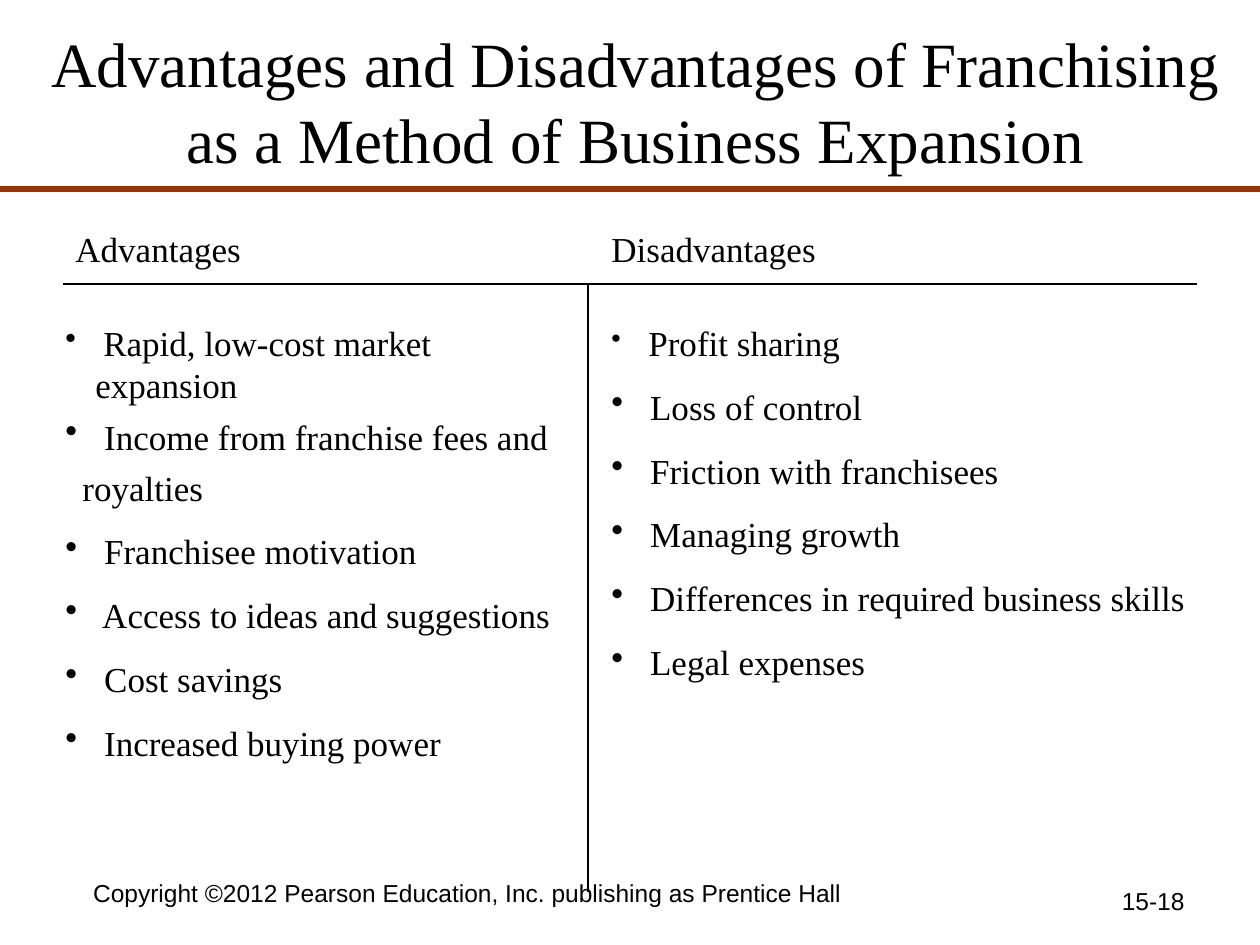
from dataclasses import dataclass

from lxml.etree import SubElement
from pptx import Presentation
from pptx.dml.color import RGBColor
from pptx.enum.shapes import MSO_CONNECTOR
from pptx.enum.text import MSO_ANCHOR, PP_ALIGN
from pptx.oxml.ns import qn
from pptx.util import Pt

EMU_PER_PIXEL = 914400 / 126


def px(length):
    return round(length * EMU_PER_PIXEL)


@dataclass(frozen=True)
class Theme:
    ink: RGBColor = RGBColor(0x00, 0x00, 0x00)
    accent: RGBColor = RGBColor(0x99, 0x33, 0x00)
    serif: str = "Times New Roman"
    sans: str = "Arial"
    title_size: int = 36
    body_size: int = 20
    footer_size: int = 14
    paragraph_gap: float = 12.5
    bullet_indent: int = 30


@dataclass(frozen=True)
class Item:
    text: str
    lead_size: int = 20
    spacing: float = 1.0
    bullet: bool = True
    indent: int = 30


class SlideBuilder:
    def __init__(self, slide, theme):
        self.slide = slide
        self.theme = theme

    def frame(self, left, top, width, height, anchor=MSO_ANCHOR.TOP):
        box = self.slide.shapes.add_textbox(px(left), px(top), px(width), px(height))
        box.text_frame.word_wrap = True
        box.text_frame.vertical_anchor = anchor
        return box.text_frame

    def span(self, para, text, size, font):
        span = para.add_run()
        span.text = text
        span.font.size = Pt(size)
        span.font.name = font
        span.font.color.rgb = self.theme.ink

    def label(self, text, bounds, size, font, align=PP_ALIGN.LEFT, anchor=MSO_ANCHOR.TOP):
        para = self.frame(*bounds, anchor=anchor).paragraphs[0]
        para.alignment = align
        self.span(para, text, size, font)

    def rule(self, start, end, color, weight):
        line = self.slide.shapes.add_connector(
            MSO_CONNECTOR.STRAIGHT, *(px(value) for value in (*start, *end))
        )
        line.line.color.rgb = color
        line.line.width = Pt(weight)
        SubElement(line._element.spPr, qn("a:effectLst"))

    def bullet(self, para):
        properties = para._p.get_or_add_pPr()
        properties.set("indent", str(-px(self.theme.bullet_indent)))
        color = SubElement(properties, qn("a:buClr"))
        SubElement(color, qn("a:srgbClr"), val=str(self.theme.ink))
        SubElement(properties, qn("a:buChar"), char="•")

    def items(self, entries, bounds):
        frame = self.frame(*bounds)
        for index, item in enumerate(entries):
            para = frame.add_paragraph() if index else frame.paragraphs[0]
            para._p.get_or_add_pPr().set("marL", str(px(item.indent)))
            if item.bullet:
                self.bullet(para)
            if index:
                para.space_before = Pt(self.theme.paragraph_gap)
            para.line_spacing = item.spacing
            if item.bullet:
                self.span(para, " ", item.lead_size, self.theme.serif)
            self.span(para, item.text, self.theme.body_size, self.theme.serif)


def main():
    deck = Presentation()
    deck.slide_width, deck.slide_height = px(1260), px(945)
    theme = Theme()
    page = SlideBuilder(deck.slides.add_slide(deck.slide_layouts[6]), theme)

    page.label(
        "Advantages and Disadvantages of Franchising as a Method of Business Expansion",
        (32, 21, 1207, 158), theme.title_size, theme.serif,
        PP_ALIGN.CENTER, MSO_ANCHOR.MIDDLE,
    )
    page.rule((0, 189), (1260, 189), theme.accent, 3)
    page.rule((63, 284), (1197, 284), theme.ink, 0.75)
    page.rule((588, 284), (588, 892), theme.ink, 0.75)

    for heading, left in (("Advantages", 63), ("Disadvantages", 599)):
        page.label(heading, (left, 221, 336, 55), theme.body_size, theme.serif)

    advantages = [
        Item("Rapid, low-cost market expansion", lead_size=18),
        Item("Income from franchise fees and", spacing=0.7),
        Item("royalties", spacing=0.7, bullet=False, indent=17),
        Item("Franchisee motivation"),
        Item("Access to ideas and suggestions"),
        Item("Cost savings"),
        Item("Increased buying power"),
    ]
    disadvantages = [
        Item("Profit sharing", lead_size=16),
        Item("Loss of control"),
        Item("Friction with franchisees"),
        Item("Managing growth"),
        Item("Differences in required business skills"),
        Item("Legal expenses"),
    ]
    page.items(advantages, (53, 315, 535, 413))
    page.items(disadvantages, (599, 315, 620, 374))

    page.label(
        "Copyright ©2012 Pearson Education, Inc. publishing as Prentice Hall",
        (63, 872, 809, 54), theme.footer_size, theme.sans, PP_ALIGN.CENTER,
    )
    page.label("15-18", (903, 880, 294, 65), theme.footer_size, theme.sans, PP_ALIGN.RIGHT)
    deck.save("out.pptx")


if __name__ == "__main__":
    main()
